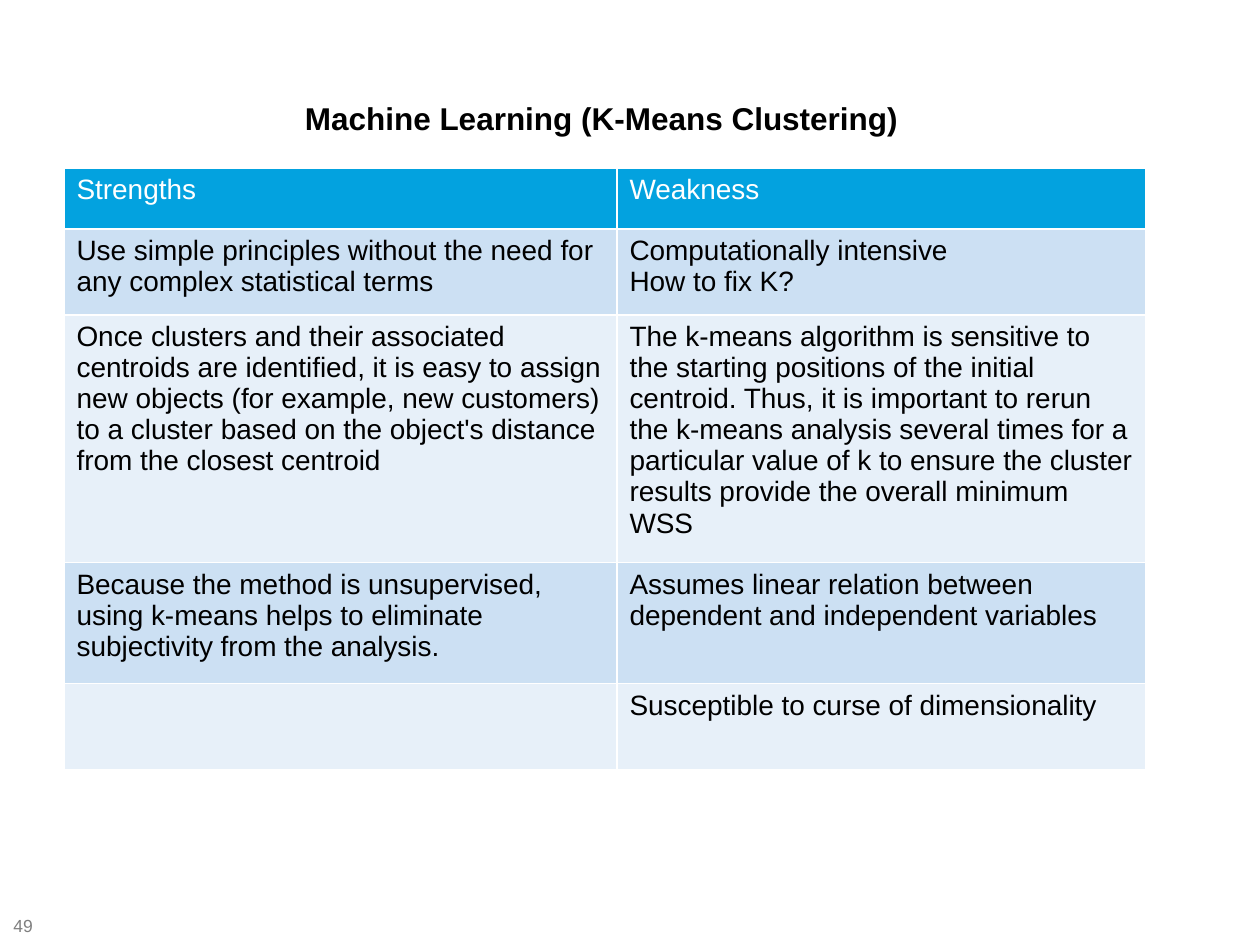
from lxml.etree import SubElement
from pptx import Presentation
from pptx.dml.color import RGBColor
from pptx.enum.text import MSO_ANCHOR as Anchor, PP_ALIGN as Align
from pptx.oxml.ns import qn
from pptx.util import Emu, Pt

EMU_PER_PX = 914400 / 126
BLACK = RGBColor(0x00, 0x00, 0x00)
WHITE = RGBColor(0xFF, 0xFF, 0xFF)
GREY = RGBColor(0x7F, 0x7F, 0x7F)
HEADER_BLUE = RGBColor(0x03, 0xA2, 0xDF)
BANDS = (RGBColor(0xE7, 0xF0, 0xF9), RGBColor(0xCC, 0xE0, 0xF3))

COLUMN_WIDTHS = (553, 529)
ROW_HEIGHTS = (61, 86, 230, 121, 86)
COMPARISON = (
    ("Strengths", "Weakness"),
    ("Use simple principles without the need for any complex statistical terms",
     "Computationally intensive\nHow to fix K?"),
    ("Once clusters and their associated centroids are identified, it is easy to "
     "assign new objects (for example, new customers) to a cluster based on the "
     "object's distance from the closest centroid",
     "The k-means algorithm is sensitive to the starting positions of the initial "
     "centroid. Thus, it is important to rerun the k-means analysis several times "
     "for a particular value of k to ensure the cluster results provide the "
     "overall minimum WSS"),
    ("Because the method is unsupervised, using k-means helps to eliminate "
     "subjectivity from the analysis.",
     "Assumes linear relation between dependent and independent variables"),
    ("", "Susceptible to curse of dimensionality"),
)


def px(length):
    """Turn pixels into EMU."""
    return Emu(round(length * EMU_PER_PX))


def place(element, left, top, width, height):
    """Set the position and size of an element in pixels."""
    box = {"left": left, "top": top, "width": width, "height": height}
    for side, length in box.items():
        setattr(element, side, px(length))


def write(frame, words, size, color, bold=False, align=Align.LEFT):
    """Fill a text frame with evenly formatted paragraphs."""
    frame.text = words
    font_format = {"name": "Arial", "size": Pt(size), "bold": bold}
    for paragraph in frame.paragraphs:
        paragraph.alignment = align
        for attribute, value in font_format.items():
            setattr(paragraph.font, attribute, value)
        paragraph.font.color.rgb = color


def outline_cell(cell, color, width):
    """Draw the four borders of a table cell."""
    properties = cell._tc.get_or_add_tcPr()
    for side in ("lnL", "lnR", "lnT", "lnB"):
        border = SubElement(properties, qn(f"a:{side}"), w=str(Pt(width)))
        fill = SubElement(border, qn("a:solidFill"))
        SubElement(fill, qn("a:srgbClr"), val=str(color))


def add_title(slide, words):
    """Put the heading in the title placeholder."""
    title = slide.shapes.title
    place(title, 26, 89, 1160, 57)
    write(title.text_frame, words, 18, BLACK, bold=True, align=Align.CENTER)
    title.text_frame.vertical_anchor = Anchor.MIDDLE


def add_comparison(slide):
    """Add the table of strengths and weaknesses."""
    table = slide.shapes.add_table(
        len(ROW_HEIGHTS), len(COLUMN_WIDTHS), px(64), px(168),
        px(sum(COLUMN_WIDTHS)), px(sum(ROW_HEIGHTS))).table
    for column, width in zip(table.columns, COLUMN_WIDTHS):
        column.width = px(width)
    for index, (row, height, entries) in enumerate(
            zip(table.rows, ROW_HEIGHTS, COMPARISON)):
        row.height = px(height)
        for cell, words in zip(row.cells, entries):
            write(cell.text_frame, words, 16, BLACK if index else WHITE)
            outline_cell(cell, WHITE, 1)
            cell.fill.solid()
            cell.fill.fore_color.rgb = BANDS[index % 2] if index else HEADER_BLUE


def add_page_number(slide, number):
    """Add the page number in the lower left corner."""
    page = slide.shapes.add_textbox(px(1), px(916), px(49), px(20))
    page.text_frame.word_wrap = True
    page.text_frame.vertical_anchor = Anchor.MIDDLE
    write(page.text_frame, number, 10, GREY)


def main():
    """Build and save the slide."""
    deck = Presentation()
    deck.slide_width, deck.slide_height = px(1260), px(945)
    slide = deck.slides.add_slide(deck.slide_layouts[5])
    add_page_number(slide, "49")
    add_comparison(slide)
    add_title(slide, "Machine Learning (K-Means Clustering) ")
    deck.save("out.pptx")


if __name__ == "__main__":
    main()
